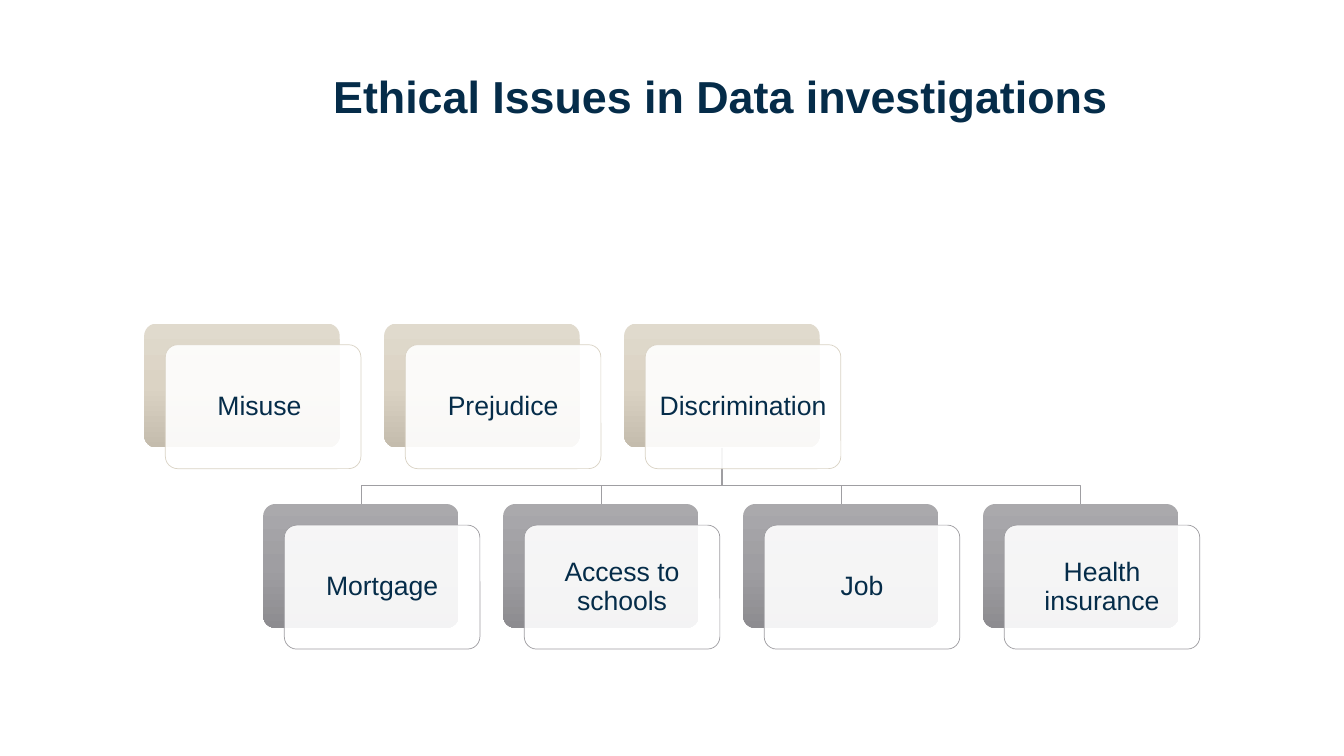
"""Build the slide on ethical issues in data investigations."""
from copy import deepcopy

from lxml import etree
from pptx import Presentation
from pptx.dml.color import RGBColor
from pptx.enum import shapes, text
from pptx.oxml.ns import qn
from pptx.util import Inches, Pt

INK, GREY = "052C49", "9F9EA2"
CARD_W, CARD_H, PITCH, OFFSET = 1.94, 1.23, 2.38, 0.21
CAUSES_TOP, EFFECTS_TOP = 3.21, 5
CAUSES_LEFT, EFFECTS_LEFT = 1.43, 2.61
ELBOW_Y = 4.82


def rgb(value):
    return RGBColor.from_string(value)


def add_card(s, left, top):
    sp = s.shapes.add_shape(shapes.MSO_SHAPE.ROUNDED_RECTANGLE,
                            Inches(left), Inches(top), Inches(CARD_W), Inches(CARD_H))
    sp.adjustments[0] = 0.1
    sp.shadow.inherit = False
    return sp


prs = Presentation()
prs.slide_width, prs.slide_height = Inches(13.33), Inches(7.5)
s = prs.slides.add_slide(prs.slide_layouts[5])

title = s.shapes.title
title.left, title.top, title.width, title.height = map(Inches, (2.02, 0.68, 10.26, 1.4))
tf = title.text_frame
tf.text = "Ethical Issues in Data investigations"
tf.auto_size = text.MSO_AUTO_SIZE.NONE
tf.vertical_anchor = text.MSO_ANCHOR.TOP
tf.margin_left = tf.margin_top = tf.margin_right = tf.margin_bottom = 0
p = tf.paragraphs[0]
p.alignment = text.PP_ALIGN.CENTER
f = p.runs[0].font
f.name, f.size, f.bold = "Arial", Pt(32), True
f.color.rgb = rgb(INK)

rows = [
    (["Misuse ", "Prejudice", "Discrimination"], CAUSES_LEFT, CAUSES_TOP,
     ["E0DACD", "DBD3C4", "C4BCAD"], "DAD3C5"),
    (["Mortgage", "Access to schools", "Job", "Health insurance"], EFFECTS_LEFT, EFFECTS_TOP,
     ["AAA9AC", GREY, "8D8C90"], GREY),
]

parent_x = CAUSES_LEFT + 2 * PITCH + CARD_W / 2
for i in reversed(range(4)):
    child_x = EFFECTS_LEFT + i * PITCH + CARD_W / 2
    branch = s.shapes.build_freeform(Inches(parent_x), Inches(CAUSES_TOP + CARD_H))
    branch.add_line_segments([(Inches(x), Inches(y)) for x, y in
                              ((parent_x, ELBOW_Y), (child_x, ELBOW_Y), (child_x, EFFECTS_TOP))],
                             close=False)
    sp = branch.convert_to_shape()
    sp.shadow.inherit = False
    sp.fill.background()
    sp.line.color.rgb = rgb(GREY)
    sp.line.width = Pt(0.5)

for labels, row_left, top, shades, outline in rows:
    for i, label in enumerate(labels):
        left = row_left + i * PITCH

        back = add_card(s, left, top)
        back.line.fill.background()
        back.fill.gradient()
        back.fill.gradient_angle = 270
        stop_list = back._element.spPr.find(".//" + qn("a:gsLst"))
        stop_list.insert(1, deepcopy(stop_list[0]))
        for stop, position, shade in zip(back.fill.gradient_stops, (0, 0.5, 1), shades):
            stop.position = position
            stop.color.rgb = rgb(shade)

        panel = add_card(s, left + OFFSET, top + OFFSET)
        panel.fill.solid()
        panel.fill.fore_color.rgb = rgb("FFFFFF")
        white = panel._element.spPr.find(qn("a:solidFill"))[0]
        etree.SubElement(white, qn("a:alpha"), val="90000")
        panel.line.color.rgb = rgb(outline)
        panel.line.width = Pt(0.5)
        tf = panel.text_frame
        tf.text = label
        tf.word_wrap = True
        tf.vertical_anchor = text.MSO_ANCHOR.MIDDLE
        tf.margin_left = tf.margin_top = tf.margin_right = tf.margin_bottom = Inches(0.08)
        p = tf.paragraphs[0]
        p.alignment = text.PP_ALIGN.CENTER
        p.line_spacing = 0.9
        f = p.runs[0].font
        f.name, f.size = "Arial", Pt(19)
        f.color.rgb = rgb(INK)

prs.save("out.pptx")
